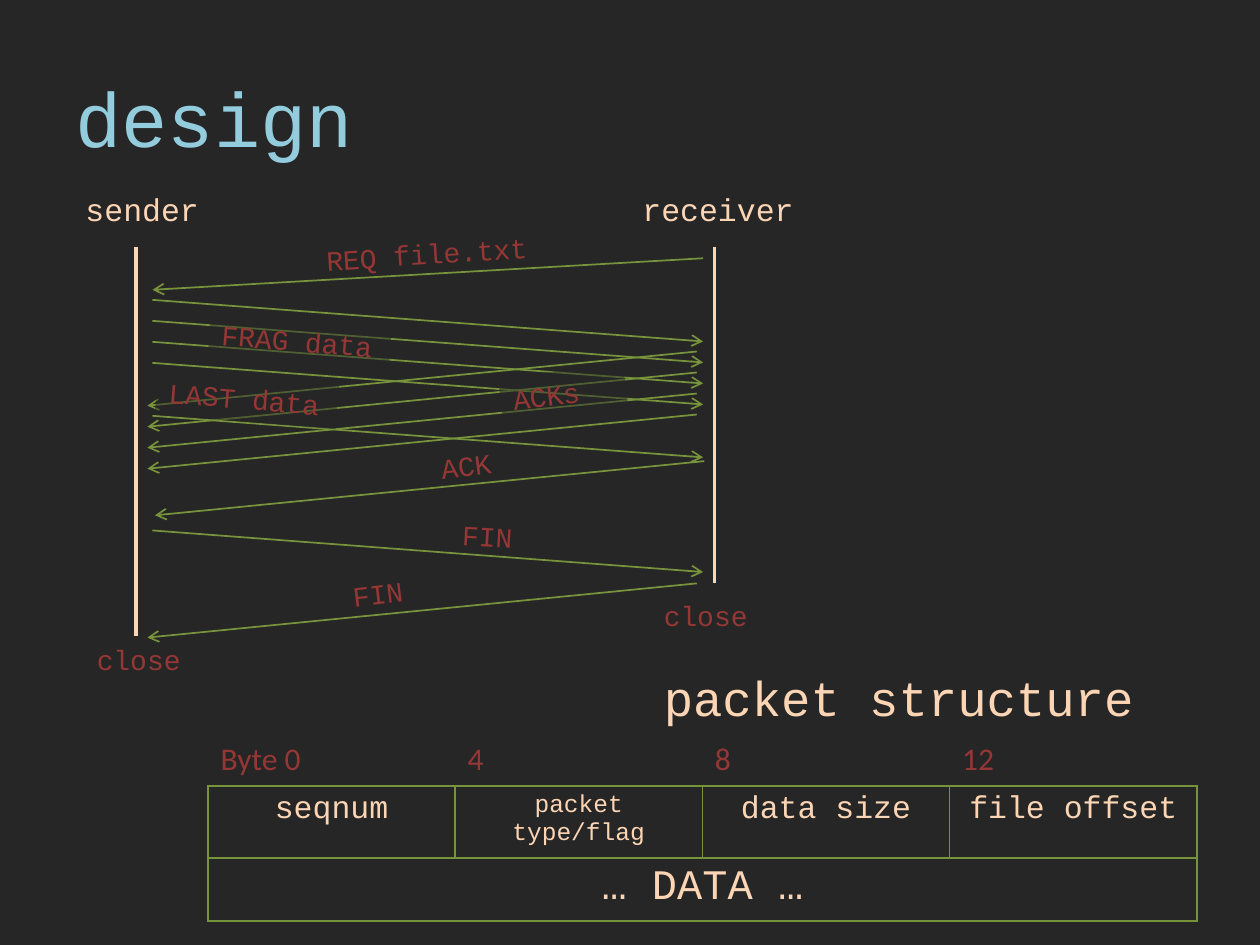
import pptx
import pptx.util
import pptx.dml.color
import pptx.enum.shapes
import pptx.enum.text
import pptx.oxml
import pptx.oxml.ns
import lxml.etree

Inches = pptx.util.Inches
Pt = pptx.util.Pt
RGBColor = pptx.dml.color.RGBColor
PP_ALIGN = pptx.enum.text.PP_ALIGN
qn = pptx.oxml.ns.qn

DARK = RGBColor(0x26, 0x26, 0x26)
BLUE = RGBColor(0x93, 0xCD, 0xDD)
PEACH = RGBColor(0xFC, 0xD5, 0xB5)
GREEN = RGBColor(0x77, 0x93, 0x3C)
RED = RGBColor(0x95, 0x37, 0x35)

MONO = "Courier New"
STEP = 1 / 6  # time between packets of one burst


def style(p, size, color, font=MONO, align=PP_ALIGN.LEFT):
    p.alignment = align
    p.font.size = Pt(size)
    p.font.name = font
    p.font.color.rgb = color


def add_title(slide, text):
    sp = slide.shapes.title
    sp.left, sp.top, sp.width, sp.height = map(Inches, (0.5, 0.3, 9, 1.25))
    tf = sp.text_frame
    tf.text = text
    tf.vertical_anchor = pptx.enum.text.MSO_ANCHOR.MIDDLE
    style(tf.paragraphs[0], 44, BLUE)


def add_label(slide, text, box, size=16, color=RED, rotation=0, veiled=False):
    """Add a text label; a veiled one dims the arrows behind it."""
    sp = slide.shapes.add_textbox(*map(Inches, box))
    sp.rotation = rotation
    if veiled:
        sp.fill.solid()
        sp.fill.fore_color.rgb = DARK
        clr = sp._element.spPr.find(qn("a:solidFill"))[0]
        lxml.etree.SubElement(clr, qn("a:alpha")).set("val", "47000")
    tf = sp.text_frame
    tf.word_wrap = True
    tf.auto_size = pptx.enum.text.MSO_AUTO_SIZE.SHAPE_TO_FIT_TEXT
    tf.text = text
    style(tf.paragraphs[0], size, color)


def add_line(slide, x1, y1, x2, y2, color, width):
    line = slide.shapes.add_connector(
        pptx.enum.shapes.MSO_CONNECTOR.STRAIGHT, *map(Inches, (x1, y1, x2, y2)))
    line.line.color.rgb = color
    line.line.width = Pt(width)
    lxml.etree.SubElement(line._element.spPr, qn("a:effectLst"))
    return line


def add_arrow(slide, x1, y1, x2, y2):
    line = add_line(slide, x1, y1, x2, y2, GREEN, 1)
    tail = lxml.etree.SubElement(line.line._get_or_add_ln(), qn("a:tailEnd"))
    tail.set("type", "arrow")


def send_right(slide, y):
    add_arrow(slide, 1.21, y, 5.58, y + 0.33)


def send_left(slide, y, x=5.53):
    add_arrow(slide, x, y, x - 4.36, y + 0.43)


def set_border(cell, side, color=None):
    """Draw one side (L, R, T or B) of a cell, or hide it without a colour."""
    ln = lxml.etree.Element(qn("a:ln" + side), w=str(Pt(1)))
    if color is None:
        lxml.etree.SubElement(ln, qn("a:noFill"))
    else:
        fill = lxml.etree.SubElement(ln, qn("a:solidFill"))
        lxml.etree.SubElement(fill, qn("a:srgbClr")).set("val", str(color))
    cell._tc.get_or_add_tcPr().append(ln)


def add_packet_table(slide):
    rows = [["Byte 0", "4", "8", "12"],
            ["seqnum", "packet type/flag", "data size", "file offset"],
            ["… DATA …", "", "", ""]]
    heights = [0.41, 0.57, 0.5]
    table = slide.shapes.add_table(
        3, 4, *map(Inches, (1.65, 5.83, 7.85, sum(heights)))).table
    table.first_row = table.horz_banding = False
    for row, height in zip(table.rows, heights):
        row.height = Inches(height)
    table.cell(2, 0).merge(table.cell(2, 3))
    for i, texts in enumerate(rows):
        for j, text in enumerate(texts):
            cell = table.cell(i, j)
            for side in "LRTB":
                visible = i > 0 or side == "B"
                set_border(cell, side, GREEN if visible else None)
            cell.fill.background()
            if not text:
                continue
            cell.text = text
            p = cell.text_frame.paragraphs[0]
            if i == 0:
                style(p, 18, RED, "Calibri")
            else:
                size = 24 if i == 2 else 14 if j == 1 else 18
                style(p, size, PEACH, align=PP_ALIGN.CENTER)


def add_sequence(slide):
    add_label(slide, "sender", (0.58, 1.46, 1.25, 0.4), 18, PEACH)
    add_label(slide, "receiver", (5, 1.46, 2, 0.4), 18, PEACH)
    add_line(slide, 1.08, 1.96, 1.08, 5.05, PEACH, 2)
    add_line(slide, 5.67, 1.96, 5.67, 4.63, PEACH, 2)

    add_arrow(slide, 5.58, 2.05, 1.21, 2.3)
    for i in range(4):
        send_right(slide, 2.38 + i * STEP)
        send_left(slide, 2.79 + i * STEP)
    send_right(slide, 3.3)
    send_left(slide, 3.66, 5.59)
    send_right(slide, 4.21)
    send_left(slide, 4.63)

    for text, x, y, width, rotation, veiled in [
        ("REQ file.txt", 2.49, 1.83, 1.83, 356.3, False),
        ("FRAG data", 1.66, 2.52, 1.44, 4.6, True),
        ("ACKs", 3.97, 2.94, 1, 353, True),
        ("LAST data", 1.24, 2.98, 1.44, 4.6, True),
        ("ACK", 3.4, 3.49, 1, 353, False),
        ("FIN", 3.57, 4.08, 1, 3.3, False),
        ("FIN", 2.7, 4.5, 1, 353, False),
        ("close", 0.67, 5.05, 1, 0, False),
        ("close", 5.17, 4.7, 1, 0, False),
    ]:
        add_label(slide, text, (x, y, width, 0.37),
                  rotation=rotation, veiled=veiled)


def main():
    prs = pptx.Presentation()
    prs.slide_width, prs.slide_height = Inches(10), Inches(7.5)
    slide = prs.slides.add_slide(prs.slide_layouts[5])
    slide.background.fill.solid()
    slide.background.fill.fore_color.rgb = DARK
    add_title(slide, "design")
    add_sequence(slide)
    add_label(slide, "packet structure", (5.17, 5.25, 4, 0.57), 28, PEACH)
    add_packet_table(slide)
    prs.save("out.pptx")


if __name__ == "__main__":
    main()
